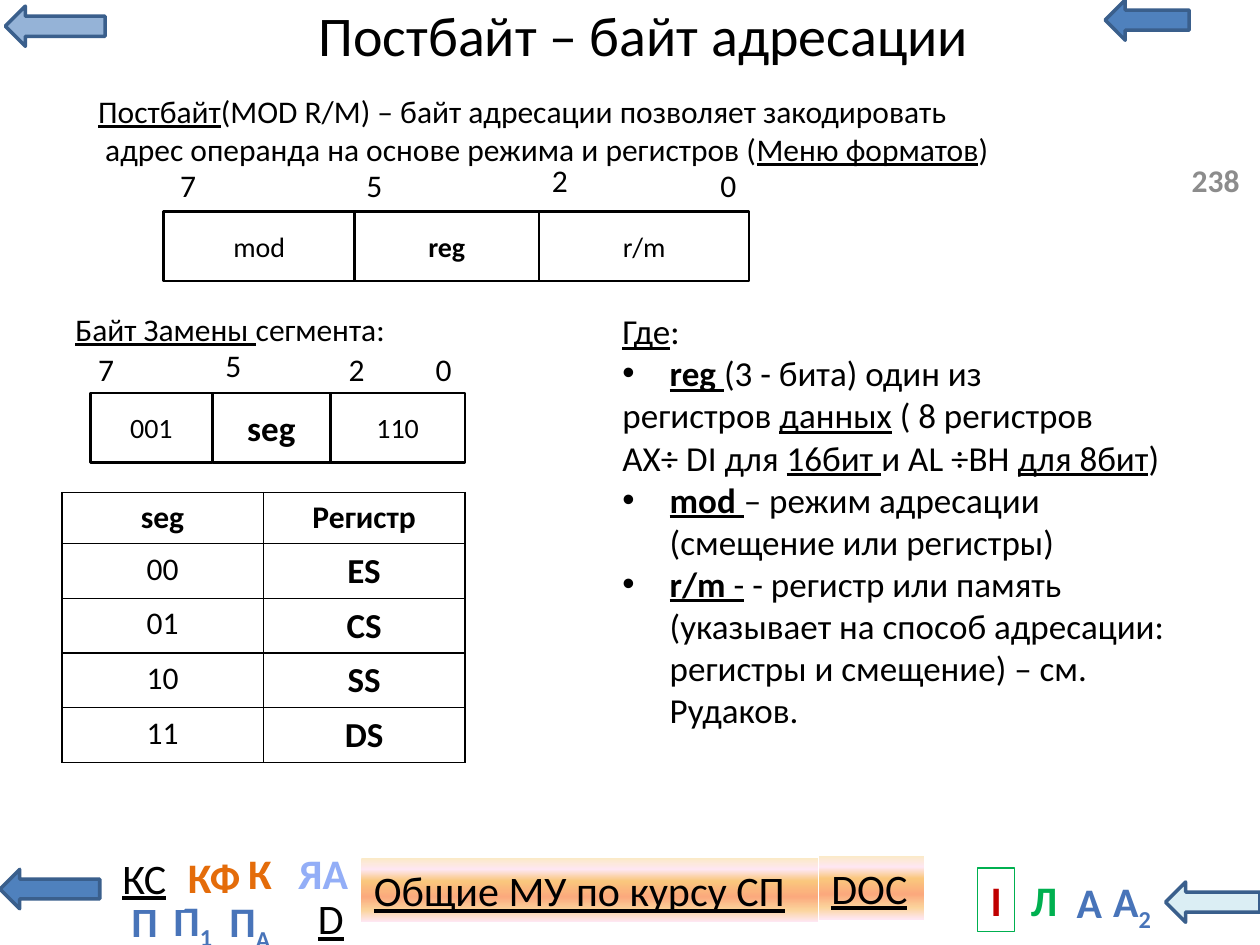
from lxml.etree import SubElement
from pptx import Presentation
from pptx.dml.color import RGBColor
from pptx.enum.shapes import MSO_SHAPE as SHAPE
from pptx.enum.text import MSO_ANCHOR as ANCHOR, MSO_AUTO_SIZE as AUTO, PP_ALIGN as ALIGN
from pptx.oxml.ns import qn
from pptx.util import Pt

rgb = RGBColor.from_string


def write(tf, paragraphs, size=18, color="000000", align=ALIGN.LEFT):
    """Fill a frame; runs are (text, marks): b bold, u underline, s subscript."""
    for i, runs in enumerate(paragraphs):
        p = tf.paragraphs[0] if i == 0 else tf.add_paragraph()
        p.alignment = align
        for text, marks in runs:
            r = p.add_run()
            r.text = text
            font = {"name": "Calibri", "size": Pt(size), "bold": "b" in marks,
                    "underline": "u" in marks}
            for key, value in font.items():
                setattr(r.font, key, value)
            r.font.color.rgb = rgb(color)
            if "s" in marks:
                r.font._element.set("baseline", "-25000")


def add_box(kind, x, y, w, h, fill=None, line=None, width=0.75):
    sp = s.shapes.add_shape(kind, Pt(x), Pt(y), Pt(w), Pt(h))
    sp.shadow.inherit = False
    if fill:
        sp.fill.solid()
        sp.fill.fore_color.rgb = rgb(fill)
    else:
        sp.fill.background()
    if line:
        sp.line.color.rgb = rgb(line)
        sp.line.width = Pt(width)
    else:
        sp.line.fill.background()
    return sp


prs = Presentation()
prs.slide_width, prs.slide_height = Pt(720), Pt(540)
s = prs.slides.add_slide(prs.slide_layouts[1])
title, body = s.placeholders

# Navigation arrows
for x, y, w, h, fill in [
    (631.5, 0, 48, 23, "4F81BD"), (0, 496.8, 57, 22.5, "4F81BD"),
    (3, 3.5, 57, 23, "95B3D7"), (666, 504, 54, 23, "DBEEF4"),
]:
    add_box(SHAPE.LEFT_ARROW, x, y, w, h, fill, "3A5F8C", 2)

# Gradient buttons
STOPS = [(0, "FBEAC7"), (18, "FEE7F2"), (36, "FAC77D"),
         (61, "FBA97D"), (82, "FBD49C"), (100, "FEE7F2")]
for x, y, w, text in [(206.6, 490.3, 261, "Общие МУ по курсу СП"), (468, 488.9, 60, "DOC")]:
    sp = add_box(SHAPE.RECTANGLE, x, y, w, 36.4)
    sp.fill.gradient()
    sp.fill.gradient_angle = 270
    stop_list = sp._element.spPr.find(qn("a:gradFill")).find(qn("a:gsLst"))
    for old in list(stop_list):
        stop_list.remove(old)
    for pos, color in STOPS:
        stop = SubElement(stop_list, qn("a:gs"), pos=str(pos * 1000))
        SubElement(stop, qn("a:srgbClr"), val=color)
    write(sp.text_frame, [[(text, "u")]], 24)

# Navigation letters: position, runs, colour, frame colour
BLUE, ORANGE = "4874B9", "E46C0A"
for x, y, w, runs, color, frame in [
    (607.7, 497.5, 29.5, [("А", "b")], BLUE, None),
    (134.6, 481, 28, [("К", "b")], ORANGE, None),
    (175, 506.2, 28, [("D", "u")], "000000", "FFFFFF"),
    (558.7, 496.1, 21, [("I", "b")], "C00000", "00B050"),
    (581.8, 496.1, 29.5, [("Л", "b")], "00B050", None),
    (627.8, 496.8, 38.2, [("А", "b"), ("2", "bs")], BLUE, None),
    (162, 481, 45.4, [("ЯА", "b")], "93AEF7", None),
    (68, 508.3, 23.8, [("П", "b")], BLUE, None),
    (90.7, 507.6, 38.9, [("П", "b"), ("1", "bs")], BLUE, None),
    (59.8, 483.1, 45.4, [("КС", "u")], "000000", "FFFFFF"),
    (100, 483.1, 44.6, [("КФ", "b")], ORANGE, None),
    (123, 508.3, 39.6, [("П", "b"), ("А", "bs")], BLUE, None),
]:
    if frame:
        sp = add_box(SHAPE.RECTANGLE, x, y, w, 36.4, line=frame)
    else:
        sp = s.shapes.add_textbox(Pt(x), Pt(y), Pt(w), Pt(36.4))
    sp.text_frame.word_wrap = False
    write(sp.text_frame, [runs], 24, color, ALIGN.CENTER)

# Title
title.left, title.top, title.width, title.height = Pt(133.2), Pt(-8), Pt(469.4), Pt(55.4)
title.text_frame.vertical_anchor = ANCHOR.MIDDLE
write(title.text_frame, [[("Постбайт – байт адресации", "")]], 32, align=ALIGN.CENTER)

# Plain text and bit numbers
for x, y, w, h, paragraphs, color in [
    (49, 49, 662, 51, [
        [("Постбайт", "u"), ("(MOD R/M) – байт адресации позволяет закодировать", "")],
        [(" адрес операнда на основе режима и регистров (", ""),
         ("Меню форматов", "u"), (")", "")]], "000000"),
    (36, 173.5, 220, 29, [[("Байт Замены ", "u"), ("сегмента:", "")]], "000000"),
    (673.9, 88.6, 46, 29, [[("238", "b")]], "8C8C8C"),
    *[(x, y, 24, 29, [[(bit, "")]], "000000") for bit, x, y in [
        ("7", 95.8, 91.4), ("5", 202.3, 91.4), ("2", 308.2, 88.6), ("0", 404.6, 91.4),
        ("7", 49, 196.6), ("5", 121.7, 194.4), ("2", 192.2, 196.6), ("0", 241.9, 196.6)]],
]:
    tf = s.shapes.add_textbox(Pt(x), Pt(y), Pt(w), Pt(h)).text_frame
    tf.word_wrap = True
    write(tf, paragraphs, color=color)

# Byte layouts: fields side by side
for x, y, fields in [
    (93.6, 121, [("mod", 109, 16, ""), ("reg", 105.5, 16, "b"), ("r/m", 120, 16, "")]),
    (51.8, 224.6, [("001", 69.5, 16, ""), ("seg", 67.5, 20, "b"), ("110", 77, 16, "")]),
]:
    for text, w, size, marks in fields:
        sp = add_box(SHAPE.RECTANGLE, x, y, w, 39.6, "FFFFFF", "000000", 1.5)
        write(sp.text_frame, [[(text, marks)]], size, align=ALIGN.CENTER)
        x += w

# Field descriptions
body.left, body.top, body.width, body.height = Pt(348.5), Pt(173.5), Pt(347), Pt(250)
tf = body.text_frame
tf.auto_size = AUTO.NONE
write(tf, [
    [("Где", "u"), (":", "")],
    [("reg", "bu"), (" ", "u"), ("(3 - бита) один из", "")],
    [("регистров ", ""), ("данных", "u"), (" ( 8 регистров", "")],
    [("AX÷ DI для ", ""), ("16бит ", "u"), ("и AL ÷BH ", ""), ("для 8бит", "u"), (")", "")],
    [("mod", "bu"), (" ", "u"), ("– режим адресации (смещение или регистры)", "")],
    [("r/m ", "bu"), ("-", "u"),
     (" - регистр или память (указывает на способ адресации: "
      "регистры и смещение) – см. Рудаков.", "")],
], 20)
for i, p in enumerate(tf.paragraphs):
    p.space_before = Pt(0)
    pPr = p._p.get_or_add_pPr()
    indent = Pt(27) if i in (1, 4, 5) else 0
    pPr.set("marL", str(indent))
    pPr.set("indent", str(-indent))
    if indent:
        SubElement(pPr, qn("a:buFont"), typeface="Arial")
        SubElement(pPr, qn("a:buChar"), char="•")
    else:
        SubElement(pPr, qn("a:buNone"))

# Segment register table
rows = [("seg", "Регистр"), ("00", "ES"), ("01", "CS"), ("10", "SS"), ("11", "DS")]
table = s.shapes.add_table(len(rows), 2, Pt(35.3), Pt(281.5), Pt(230.4), Pt(146)).table
table.first_row = table.horz_banding = False
for i, row in enumerate(rows):
    table.rows[i].height = Pt(29.2)
    for j, text in enumerate(row):
        cell = table.cell(i, j)
        tcPr = cell._tc.get_or_add_tcPr()
        for side in ("a:lnL", "a:lnR", "a:lnT", "a:lnB"):
            ln = SubElement(tcPr, qn(side), w=str(Pt(1)))
            SubElement(SubElement(ln, qn("a:solidFill")), qn("a:srgbClr"), val="000000")
        cell.fill.background()
        write(cell.text_frame, [[(text, "b" if i == 0 or j == 1 else "")]],
              20 if i and j else 18, align=ALIGN.CENTER)

prs.save("out.pptx")
